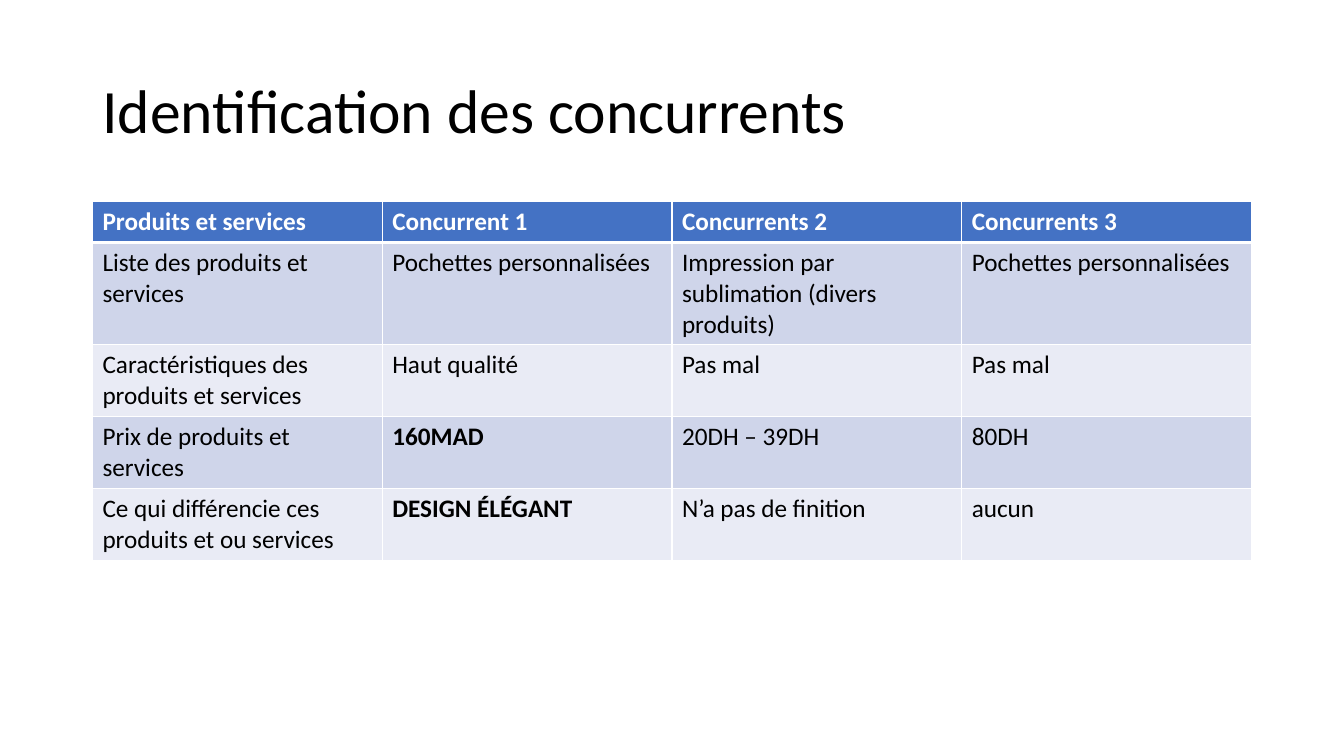
from pptx import Presentation
from pptx.dml.color import RGBColor
from pptx.enum import text
from pptx.oxml import parse_xml
from pptx.oxml.ns import nsdecls
from pptx.util import Cm, Pt

TITLE = "Identification des concurrents"
ROWS = [
    ("Produits et services", "Concurrent 1", "Concurrents 2", "Concurrents 3"),
    ("Liste des produits et services", "Pochettes personnalisées",
     "Impression par sublimation (divers produits)", "Pochettes personnalisées"),
    ("Caractéristiques des produits et services", "Haut qualité", "Pas mal", "Pas mal"),
    ("Prix de produits et services", "160MAD", "20DH – 39DH", "80DH"),
    ("Ce qui différencie ces produits et ou services", "DESIGN ÉLÉGANT",
     "N’a pas de finition", "aucun"),
]
BOLD = {"160MAD", "DESIGN ÉLÉGANT"}
ROW_HEIGHTS = [1.03, 2.58, 1.81, 1.81, 1.81]  # cm
LEFT, WIDTH = 2.33, 29.21  # cm, shared by title and table
HEADER_FILL, BAND_FILLS = "4472C4", ("CFD5EA", "E9EBF5")
BLACK, WHITE = "000000", "FFFFFF"


def color(value):
    return RGBColor.from_string(value)


def write(tf, content, size=18, ink=BLACK, bold=False, spacing=None):
    p = tf.paragraphs[0]
    p.alignment = text.PP_ALIGN.LEFT
    p.line_spacing = spacing
    r = p.add_run()
    r.text = content
    r.font.name, r.font.size, r.font.bold = "Calibri", Pt(size), bold
    r.font.color.rgb = color(ink)


def set_borders(cell, bottom=1, top=1):
    tc_pr = cell._tc.get_or_add_tcPr()
    for side, width in (("L", 1), ("R", 1), ("T", top), ("B", bottom)):
        tc_pr.append(parse_xml(
            f'<a:ln{side} {nsdecls("a")} w="{Pt(width)}"><a:solidFill>'
            f'<a:srgbClr val="{WHITE}"/></a:solidFill></a:ln{side}>'))


prs = Presentation()
prs.slide_width, prs.slide_height = Cm(33.87), Cm(19.05)
s = prs.slides.add_slide(prs.slide_layouts[5])

# Title
title = s.shapes.title
title.left, title.top, title.width, title.height = Cm(LEFT), Cm(1.01), Cm(WIDTH), Cm(3.68)
title.text_frame.auto_size = text.MSO_AUTO_SIZE.NONE
title.text_frame.vertical_anchor = text.MSO_ANCHOR.MIDDLE
write(title.text_frame, TITLE, size=44, spacing=0.9)

# Competitor table
table = s.shapes.add_table(len(ROWS), len(ROWS[0]), Cm(LEFT), Cm(5.08),
                           Cm(WIDTH), Cm(sum(ROW_HEIGHTS))).table
for i, row in enumerate(ROWS):
    table.rows[i].height = Cm(ROW_HEIGHTS[i])
    header = i == 0
    for j, content in enumerate(row):
        cell = table.cell(i, j)
        set_borders(cell, bottom=3 if header else 1, top=3 if i == 1 else 1)
        cell.fill.solid()
        cell.fill.fore_color.rgb = color(HEADER_FILL if header else BAND_FILLS[(i - 1) % 2])
        write(cell.text_frame, content, ink=WHITE if header else BLACK,
              bold=header or content in BOLD)
table.cell(1, 2).vertical_anchor = text.MSO_ANCHOR.MIDDLE

prs.save("out.pptx")
